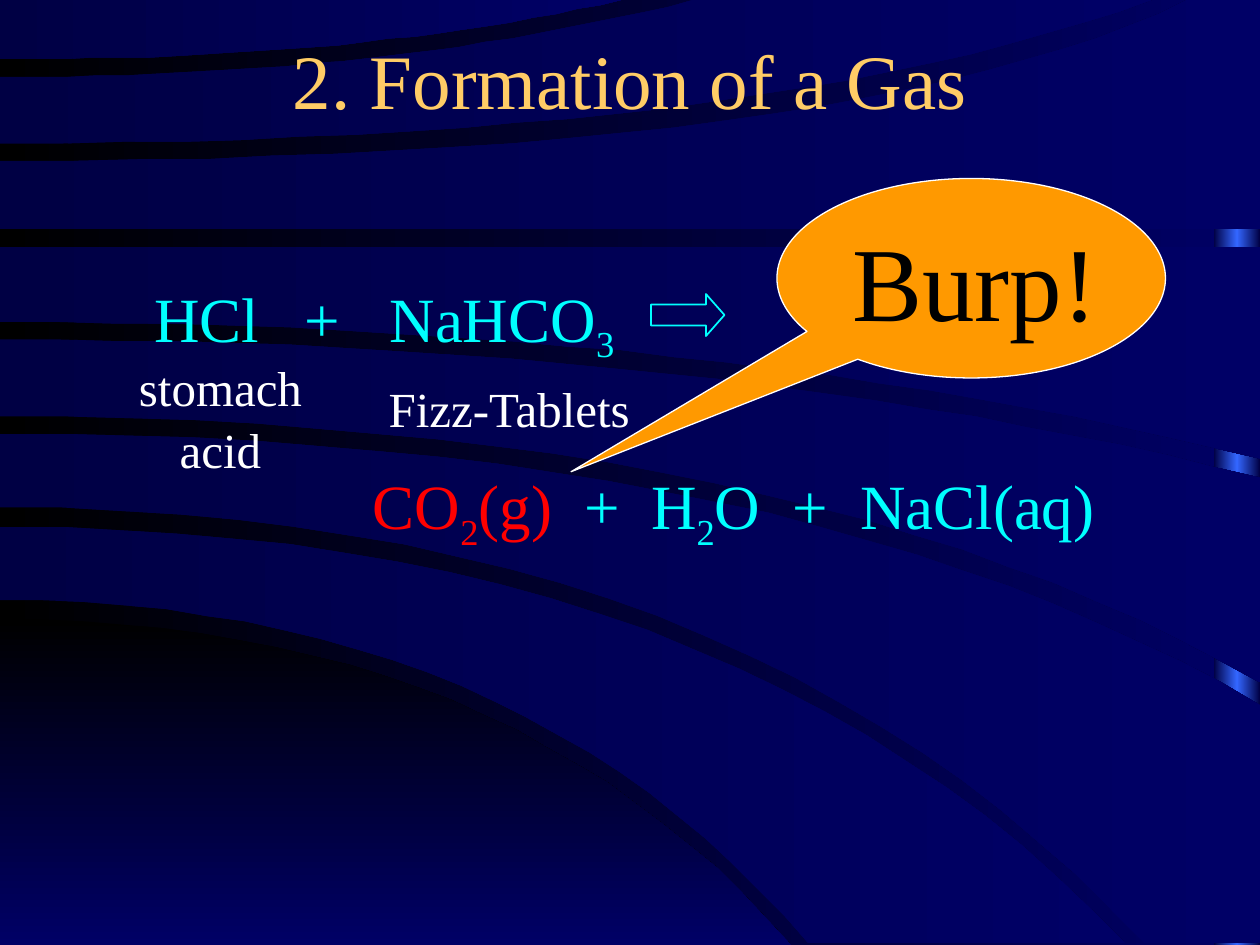
"""Build a chemistry slide on the formation of a gas."""
import copy
import pptx
import pptx.dml.color
import pptx.enum.shapes
import pptx.enum.text
import pptx.oxml
import pptx.oxml.ns
import pptx.util

Pt = pptx.util.Pt
Kind = pptx.enum.shapes.MSO_SHAPE
Align = pptx.enum.text.PP_ALIGN
Anchor = pptx.enum.text.MSO_ANCHOR
tint = {
    name: pptx.dml.color.RGBColor.from_string(code)
    for name, code in {
        "black": "000000", "dusk": "000044", "navy": "000066",
        "glow": "3366FF", "gold": "FFCC66", "cyan": "00FFFF",
        "red": "FF0000", "white": "FFFFFF", "orange": "FF9900",
    }.items()
}

deck = pptx.Presentation()
deck.slide_width, deck.slide_height = Pt(720), Pt(540)
slide = deck.slides.add_slide(deck.slide_layouts[6])
shapes = slide.shapes


def shade(fill, start, end, angle=0):
    fill.gradient()
    fill.gradient_angle = angle
    for stop, name, place in zip(fill.gradient_stops, (start, end), (0, 1)):
        stop.color.rgb = tint[name]
        stop.position = place


def write(box, runs, size, align=Align.LEFT, anchor=Anchor.TOP, tabs=(), space=1):
    area = shapes.add_textbox(*map(Pt, box)).text_frame
    area.word_wrap = True
    area.vertical_anchor = anchor
    para = area.paragraphs[0]
    para.alignment = align
    para.line_spacing = space
    if tabs:
        marks = "".join('<a:tab pos="%d" algn="l"/>' % Pt(pos) for pos in tabs)
        para._p.get_or_add_pPr().append(pptx.oxml.parse_xml(
            "<a:tabLst %s>%s</a:tabLst>" % (pptx.oxml.ns.nsdecls("a"), marks)))
    for text, color, low in runs:
        run = para.add_run()
        run.text = text
        style = {"name": "Times New Roman", "size": Pt(size)}
        for key, value in style.items():
            setattr(run.font, key, value)
        run.font.color.rgb = tint[color]
        if low:
            run._r.get_or_add_rPr().set("baseline", "-25000")


shade(slide.background.fill, "black", "navy")

strip = shapes.add_shape(Kind.RECTANGLE, Pt(693.6), 0, Pt(26.4), Pt(540))
strip.shadow.inherit = False
strip.line.fill.background()
shade(strip.fill, "dusk", "glow")
stops = strip.element.find(".//" + pptx.oxml.ns.qn("a:gsLst"))
stops.append(copy.deepcopy(stops[0]))
for stop, place in zip(stops, (0, 50000, 100000)):
    stop.set("pos", str(place))

dome = ("black", "navy", 270)
sweep = ("dusk", "navy", 0)
bands = [
    (dome, (354, 290, 452, 540), [], (540, 226, 452, 540)),
    (sweep, (301, 418, 643, 539), [], (343, 296, 462, 539)),
    (sweep, (248, 458, 720, 403), [(720, 539)], (290, 424, 654, 539)),
    (sweep, (194, 408, 720, 273), [], (238, 456, 720, 390)),
    (sweep, (141, 360, 720, 141), [], (184, 410, 720, 262)),
    (sweep, (92, 489, 678, 0), [(720, 0)], (131, 360, 720, 131)),
    (sweep, (44, 228, 396, 0), [], (82, 431, 658, 0)),
    (sweep, (0, 178, 355, 0), [], (34, 209, 355, 0)),
]
steps = 24
for paint, upper, corner, lower in bands:
    edges = []
    for start, bend, right, end in (upper, lower):
        edges.append([
            (2 * bend * t * (1 - t) + right * t * t,
             start + (end - start) * t * t)
            for t in (i / steps for i in range(steps + 1))])
    points = edges[0] + corner + edges[1][::-1]
    pen = shapes.build_freeform(*points[0], scale=Pt(1))
    pen.add_line_segments(points[1:], close=True)
    band = pen.convert_to_shape()
    band.shadow.inherit = False
    band.line.fill.background()
    shade(band.fill, *paint)

write((54, 0, 612, 90), [("2. Formation of a Gas", "gold", False)], 44,
      Align.CENTER, Anchor.MIDDLE)
write((81, 156, 300, 49),
      [("HCl\t+\tNaHCO", "cyan", False), ("3", "cyan", True)], 36,
      tabs=(86, 134.5))
write((206, 263, 460, 49),
      [("CO", "red", False), ("2", "red", True), ("(g)", "red", False),
       ("\t+\tH", "cyan", False), ("2", "cyan", True),
       ("O\t+\tNaCl(aq)", "cyan", False)], 36,
      tabs=(121, 159, 240, 278.5))

arrow = shapes.add_shape(Kind.RIGHT_ARROW, Pt(372), Pt(168), Pt(42), Pt(24))
arrow.adjustments[1] = 0.44
arrow.fill.background()
bubble = shapes.add_shape(
    Kind.OVAL_CALLOUT, Pt(444), Pt(102), Pt(222), Pt(114))
bubble.adjustments[0], bubble.adjustments[1] = -1.03, 0.97
bubble.fill.solid()
bubble.fill.fore_color.rgb = tint["orange"]
for shape, color, width in ((arrow, "cyan", 1), (bubble, "white", 0.75)):
    shape.shadow.inherit = False
    shape.line.color.rgb = tint[color]
    shape.line.width = Pt(width)

for box, text in (((54, 199, 144, 74), "stomach acid"),
                  ((204, 211, 174, 41), "Fizz-Tablets")):
    write(box, [(text, "white", False)], 28, Align.CENTER, space=1.05)
write((480, 120, 210, 79), [("Burp!", "black", False)], 60)

deck.save("out.pptx")
